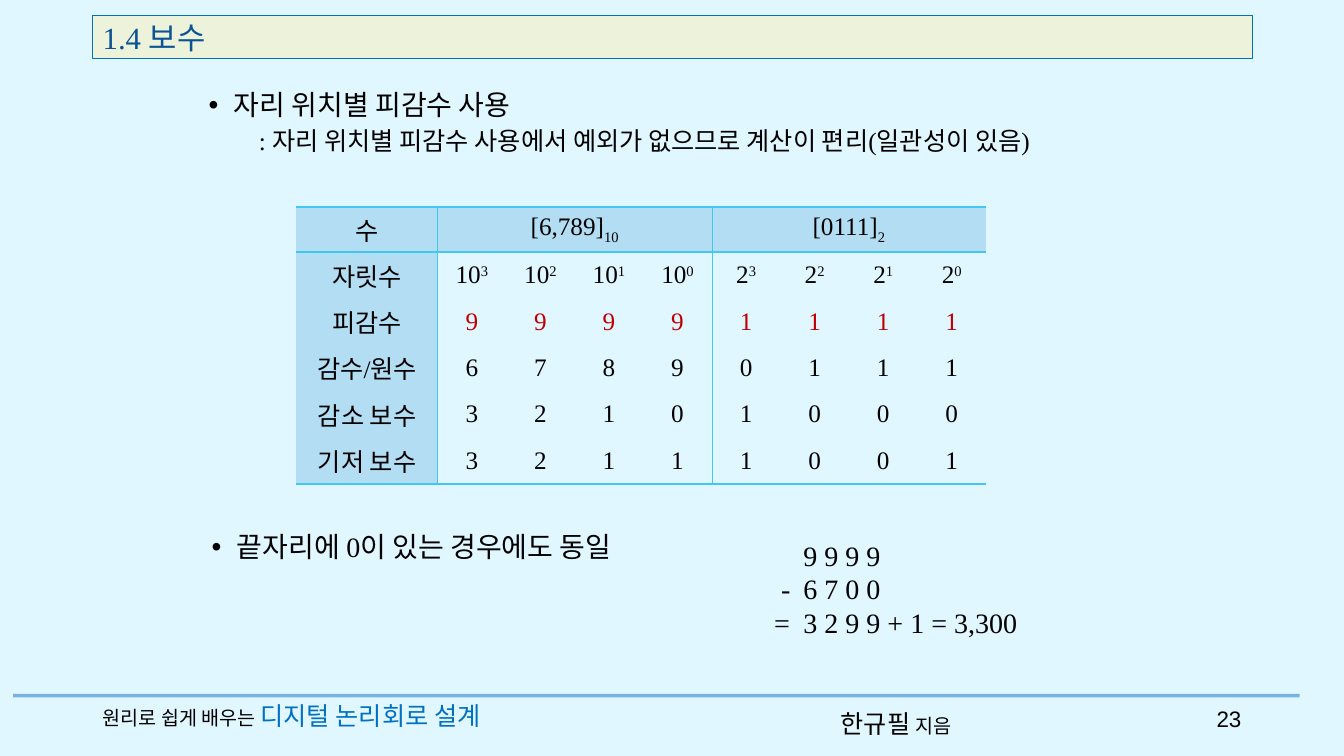
from lxml import etree
from pptx import Presentation, util as u
from pptx.dml.color import RGBColor
from pptx.enum import shapes, text
from pptx.oxml import ns

BLACK = RGBColor(0, 0, 0)
RED = RGBColor(0xC0, 0, 0)
BLUE = RGBColor(0, 0x70, 0xC0)
NAVY = RGBColor(0x0B, 0x53, 0x94)
CREAM = RGBColor(0xED, 0xF3, 0xDB)
BACKGROUND = RGBColor(0xE1, 0xF7, 0xFF)
HEADER_FILL = RGBColor(0xB3, 0xDD, 0xF2)
TABLE_RULE = RGBColor(0x42, 0xC7, 0xF1)
FOOTER_RULE = RGBColor(0x0F, 0x6F, 0xC6)
SERIF, SANS, KOREAN = "Times New Roman", "Arial", "Noto Sans CJK KR"

# Content
TITLE = "1.4 보수"
POSITION_POINT = "자리 위치별 피감수 사용"
POSITION_DETAIL = ": 자리 위치별 피감수 사용에서 예외가 없으므로 계산이 편리(일관성이 있음)"
ZERO_POINT = "끝자리에 0이 있는 경우에도 동일"
# Each sum line: text, start of its first line in inches
SUM_LINES = [("9 9 9 9", 0.29), ("-\t6 7 0 0", 0.07), ("=\t3 2 9 9 + 1 = 3,300", 0)]
SUM_INDENT = 0.29
GROUPS = [("[6,789]", "10"), ("[0111]", "2")]
DIGITS = 4
ROWS = [
    ("피감수", "99991111"),
    ("감수/원수", "67890111"),
    ("감소 보수", "32101000"),
    ("기저 보수", "32111001"),
]
MINUEND_ROW = 2
LABEL_WIDTH, DIGIT_WIDTH = 1.4, 0.68
HEADER_HEIGHT, ROW_HEIGHT = 0.45, 0.46
THICK, THIN = 1.7, 0.28


def style(item, size, color=BLACK, name=SERIF):
    item.font.size, item.font.name = u.Pt(size), name
    item.font.color.rgb = color


def add_text(slide, left, top, width, height, count=1):
    box = slide.shapes.add_textbox(*map(u.Inches, (left, top, width, height)))
    frame = box.text_frame
    frame.word_wrap = True
    for _ in range(count - 1):
        frame.add_paragraph()
    return frame.paragraphs


def set_indent(paragraph, margin, first, bullet=None):
    properties = paragraph._p.get_or_add_pPr()
    properties.set("marL", str(u.Inches(margin)))
    properties.set("indent", str(u.Inches(first)))
    if bullet:
        font = etree.SubElement(properties, ns.qn("a:buFont"))
        font.set("typeface", SANS)
        etree.SubElement(properties, ns.qn("a:buChar")).set("char", bullet)


def add_runs(paragraph, parts):
    """Each part: wording, size, colour, font."""
    for wording, *look in parts:
        run = paragraph.add_run()
        run.text = wording
        style(run, *look)


def add_scripted(paragraph, base, script, offset):
    for wording in (base, script):
        paragraph.add_run().text = wording
    paragraph.runs[1].font._element.set("baseline", str(offset * 1000))
    style(paragraph, 18)


def set_borders(cell, widths):
    properties = cell._tc.get_or_add_tcPr()
    for position, side in enumerate("LRTB"):
        line = etree.Element(ns.qn(f"a:ln{side}"))
        width = widths.get(side, 0)
        line.set("w", str(u.Pt(width)))
        if width:
            fill = etree.SubElement(line, ns.qn("a:solidFill"))
            etree.SubElement(fill, ns.qn("a:srgbClr")).set("val", str(TABLE_RULE))
        else:
            etree.SubElement(line, ns.qn("a:noFill"))
        properties.insert(position, line)


def add_complement_table(slide):
    columns, rows = 1 + DIGITS * len(GROUPS), 2 + len(ROWS)
    table = slide.shapes.add_table(
        rows, columns, u.Inches(2.94), u.Inches(2.05),
        u.Inches(LABEL_WIDTH + DIGIT_WIDTH * (columns - 1)),
        u.Inches(HEADER_HEIGHT + ROW_HEIGHT * (rows - 1))).table
    table.horz_banding = table.first_row = False
    for index, column in enumerate(table.columns):
        column.width = u.Inches(DIGIT_WIDTH if index else LABEL_WIDTH)
    for index, row in enumerate(table.rows):
        row.height = u.Inches(ROW_HEIGHT if index else HEADER_HEIGHT)

    # Fills, insets and rules
    for r in range(rows):
        for c in range(columns):
            cell = table.cell(r, c)
            cell.margin_left = cell.margin_right = u.Inches(0.07)
            cell.margin_top = cell.margin_bottom = u.Inches(0.02)
            cell.vertical_anchor = text.MSO_ANCHOR.MIDDLE
            cell.text_frame.paragraphs[0].alignment = text.PP_ALIGN.CENTER
            if r == 0 or c == 0:
                cell.fill.solid()
                cell.fill.fore_color.rgb = HEADER_FILL
            else:
                cell.fill.background()
            borders = {}
            if r < 2:
                borders["T"] = THICK
            if r in (0, rows - 1):
                borders["B"] = THICK
            if c % DIGITS == 1:
                borders["L"] = THIN
            if c % DIGITS == 0 and c < columns - 1:
                borders["R"] = THIN
            set_borders(cell, borders)

    # Row labels
    for r, label in enumerate(["수", "자릿수"] + [row[0] for row in ROWS]):
        paragraph = table.cell(r, 0).text_frame.paragraphs[0]
        if "/" in label:
            first, last = label.split("/")
            add_runs(paragraph, [(first, 18, BLACK, KOREAN), ("/", 18),
                                 (last, 18, BLACK, KOREAN)])
        else:
            paragraph.text = label
            style(paragraph, 18, BLACK, KOREAN)

    # Numbers and their place values
    for group, (number, radix) in enumerate(GROUPS):
        start = 1 + group * DIGITS
        head = table.cell(0, start)
        head.merge(table.cell(0, start + DIGITS - 1))
        add_scripted(head.text_frame.paragraphs[0], number, radix, -25)
        for place in range(DIGITS):
            paragraph = table.cell(1, start + place).text_frame.paragraphs[0]
            add_scripted(paragraph, radix, str(DIGITS - 1 - place), 30)

    # Digits
    for r, (_, digits) in enumerate(ROWS, MINUEND_ROW):
        for c, digit in enumerate(digits, 1):
            paragraph = table.cell(r, c).text_frame.paragraphs[0]
            paragraph.text = digit
            style(paragraph, 18, RED if r == MINUEND_ROW else BLACK)


def main():
    presentation = Presentation()
    presentation.slide_width, presentation.slide_height = u.Inches(13.33), u.Inches(7.5)
    slide = presentation.slides.add_slide(presentation.slide_layouts[6])
    slide.background.fill.solid()
    slide.background.fill.fore_color.rgb = BACKGROUND

    # Footer
    rule = slide.shapes.add_connector(
        shapes.MSO_CONNECTOR.STRAIGHT, *map(u.Inches, (0.13, 6.9, 12.89, 6.9)))
    rule.line.width = u.Pt(2.5)
    rule.line.color.rgb = FOOTER_RULE
    color = rule.line._ln.find(".//" + ns.qn("a:srgbClr"))
    etree.SubElement(color, ns.qn("a:alpha")).set("val", "50000")
    etree.SubElement(rule._element.spPr, ns.qn("a:effectLst"))
    add_runs(add_text(slide, 8.24, 6.98, 1.53, 0.4)[0],
             [("한규필 ", 18, BLACK, KOREAN), ("지음", 14, BLACK, KOREAN)])
    add_runs(add_text(slide, 0.92, 6.9, 4.63, 0.4)[0],
             [("원리로 쉽게 배우는 ", 14), ("디지털 논리회로 설계", 18, BLUE)])
    page = add_text(slide, 11.79, 6.95, 0.62, 0.4)[0]
    page.text, page.alignment = "23", text.PP_ALIGN.RIGHT
    style(page, 16, BLACK, SANS)

    # Title bar
    bar = slide.shapes.add_shape(
        shapes.MSO_SHAPE.RECTANGLE, *map(u.Inches, (0.92, 0.15, 11.5, 0.43)))
    bar.shadow.inherit = False
    bar.fill.solid()
    bar.fill.fore_color.rgb = CREAM
    bar.line.color.rgb, bar.line.width = BLUE, u.Pt(0.75)
    title = bar.text_frame.paragraphs[0]
    title.text, title.alignment = TITLE, text.PP_ALIGN.LEFT
    style(title, 22, NAVY)

    # Points
    point, detail = add_text(slide, 1.47, 0.86, 11.5, 1.15, 2)
    zero = add_text(slide, 1, 5.24, 11.5, 0.51)[0]
    for paragraph, wording, size, margin, first, bullet in [
            (point, POSITION_POINT, 20, 0.75, -0.25, "•"),
            (detail, POSITION_DETAIL, 18, 1, 0, None),
            (zero, ZERO_POINT, 20, 1.25, -0.25, "•")]:
        paragraph.text, paragraph.line_spacing = wording, 0.9
        set_indent(paragraph, margin, first, bullet)
        style(paragraph, size)
    detail.space_before = u.Pt(5)

    add_complement_table(slide)

    # Worked sum
    sum_lines = add_text(slide, 7.58, 5.29, 3.43, 1.11, len(SUM_LINES))
    for paragraph, (wording, start) in zip(sum_lines, SUM_LINES):
        paragraph.text = wording
        set_indent(paragraph, SUM_INDENT, start - SUM_INDENT)
        style(paragraph, 20)

    presentation.save("out.pptx")


if __name__ == "__main__":
    main()
